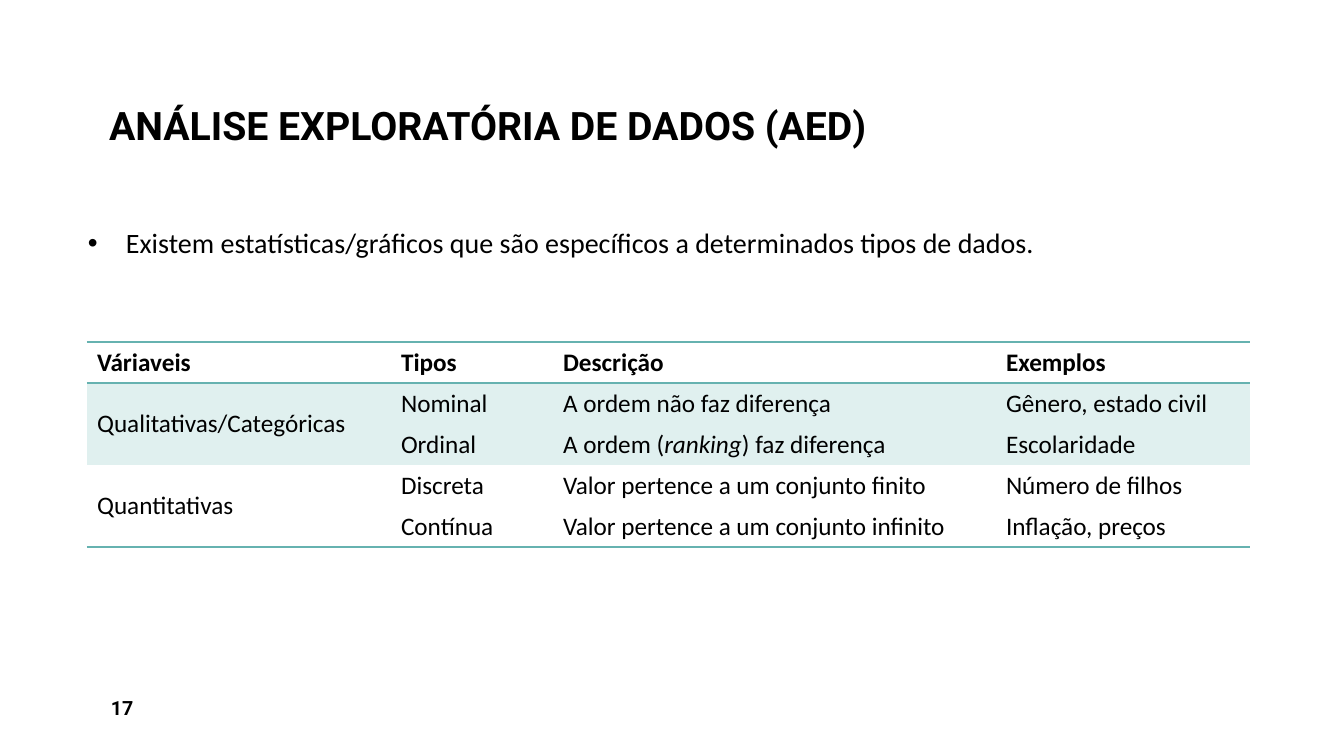
from dataclasses import dataclass

from pptx import Presentation
from pptx.dml.color import RGBColor
from pptx.enum.text import MSO_ANCHOR, PP_ALIGN
from pptx.oxml.ns import qn
from pptx.util import Emu, Pt
from lxml import etree

LEFT = PP_ALIGN.LEFT
TOP, MIDDLE, BOTTOM = MSO_ANCHOR.TOP, MSO_ANCHOR.MIDDLE, MSO_ANCHOR.BOTTOM
TITLE_ONLY = 5
EMU_PER_PX = 914400 / 100.8


@dataclass(frozen=True)
class Theme:
    ink: str = "000000"
    paper: str = "FFFFFF"
    rule: str = "66B2B0"
    band: str = "E0F0EF"
    heading_font: str = "Roboto"
    body_font: str = "Calibri"
    title_size: int = 28
    body_size: int = 20
    table_size: int = 18
    number_size: int = 14
    rule_width: int = 1


THEME = Theme()

COLUMN_WIDTHS = [304, 162, 443, 254]
ROW_HEIGHT = 41
TABLE_ROWS = [
    ["Váriaveis", "Tipos", "Descrição", "Exemplos"],
    ["Qualitativas/Categóricas", "Nominal", "A ordem não faz diferença", "Gênero, estado civil"],
    ["", "Ordinal", ["A ordem (", "ranking", ") faz diferença"], "Escolaridade"],
    ["Quantitativas", "Discreta", "Valor pertence a um conjunto finito", "Número de filhos"],
    ["", "Contínua", "Valor pertence a um conjunto infinito", "Inflação, preços"],
]
GROUP_STARTS = [1, 3]
BANDED_ROWS = [1, 2]
RULES_ABOVE = [0]
RULES_BELOW = [0, 4]


def px(length):
    return Emu(round(length * EMU_PER_PX))


def place(shape, left, top, width, height):
    shape.left, shape.top = px(left), px(top)
    shape.width, shape.height = px(width), px(height)


def style_font(font, name, size, bold=False):
    font.name = name
    font.size = Pt(size)
    font.bold = bold
    font.color.rgb = RGBColor.from_string(THEME.ink)


def write_line(shape, text, name, size, bold=False, anchor=TOP):
    frame = shape.text_frame
    frame.text = text
    frame.word_wrap = True
    frame.vertical_anchor = anchor
    para = frame.paragraphs[0]
    para.alignment = LEFT
    for span in para.runs:
        style_font(span.font, name, size, bold)
    return para


def add_title(page, text):
    title = page.shapes.title
    place(title, 99, 8, 1147, 146)
    para = write_line(title, text, THEME.heading_font, THEME.title_size, True, BOTTOM)
    para.line_spacing = 0.9


def add_bullet(page, text):
    box = page.shapes.add_textbox(px(78), px(221), px(1132), px(96))
    para = write_line(box, text, THEME.body_font, THEME.body_size)
    para.space_after = Pt(12)
    properties = para._p.get_or_add_pPr()
    properties.set("marL", str(px(38)))
    properties.set("indent", str(-px(38)))
    etree.SubElement(properties, qn("a:buFont")).set("typeface", "Arial")
    etree.SubElement(properties, qn("a:buChar")).set("char", "•")


def add_page_number(page, text):
    box = page.shapes.add_textbox(px(101), px(688), px(294), px(40))
    write_line(box, text, THEME.heading_font, THEME.number_size, True, MIDDLE)


def set_borders(cell, ruled_sides):
    properties = cell._tc.get_or_add_tcPr()
    for index, side in enumerate("LRTB"):
        line = etree.Element(qn(f"a:ln{side}"))
        if side in ruled_sides:
            line.set("w", str(Pt(THEME.rule_width)))
            fill = etree.SubElement(line, qn("a:solidFill"))
            etree.SubElement(fill, qn("a:srgbClr")).set("val", THEME.rule)
        else:
            line.set("w", "0")
            etree.SubElement(line, qn("a:noFill"))
        properties.insert(index, line)


def write_cell(cell, content, bold):
    para = cell.text_frame.paragraphs[0]
    pieces = [content] if isinstance(content, str) else content
    for index, piece in enumerate(pieces):
        if piece:
            span = para.add_run()
            span.text = piece
            style_font(span.font, THEME.body_font, THEME.table_size, bold)
            span.font.italic = index == 1


def add_variable_table(page):
    row_count, column_count = len(TABLE_ROWS), len(COLUMN_WIDTHS)
    frame = page.shapes.add_table(
        row_count, column_count, px(87), px(342),
        px(sum(COLUMN_WIDTHS)), px(ROW_HEIGHT * row_count),
    )
    table = frame.table
    table.horz_banding = False
    table.first_row = False
    for column, width in zip(table.columns, COLUMN_WIDTHS):
        column.width = px(width)
    for row_index, contents in enumerate(TABLE_ROWS):
        table.rows[row_index].height = px(ROW_HEIGHT)
        color = THEME.band if row_index in BANDED_ROWS else THEME.paper
        sides = "T" * (row_index in RULES_ABOVE or row_index - 1 in RULES_BELOW)
        sides += "B" * (row_index in RULES_BELOW)
        for column_index, content in enumerate(contents):
            cell = table.cell(row_index, column_index)
            write_cell(cell, content, bold=row_index == 0)
            cell.fill.solid()
            cell.fill.fore_color.rgb = RGBColor.from_string(color)
            last_of_group = column_index == 0 and row_index == GROUP_STARTS[-1]
            set_borders(cell, sides + "B" * last_of_group)
    for start in GROUP_STARTS:
        group = table.cell(start, 0)
        group.merge(table.cell(start + 1, 0))
        group.vertical_anchor = MIDDLE


def main():
    deck = Presentation()
    deck.slide_width, deck.slide_height = px(1344), px(756)
    page = deck.slides.add_slide(deck.slide_layouts[TITLE_ONLY])
    add_title(page, "ANÁLISE EXPLORATÓRIA DE DADOS (AED)")
    add_bullet(page, "Existem estatísticas/gráficos que são específicos a determinados tipos de dados.")
    add_page_number(page, "17")
    add_variable_table(page)
    deck.save("out.pptx")


if __name__ == "__main__":
    main()
